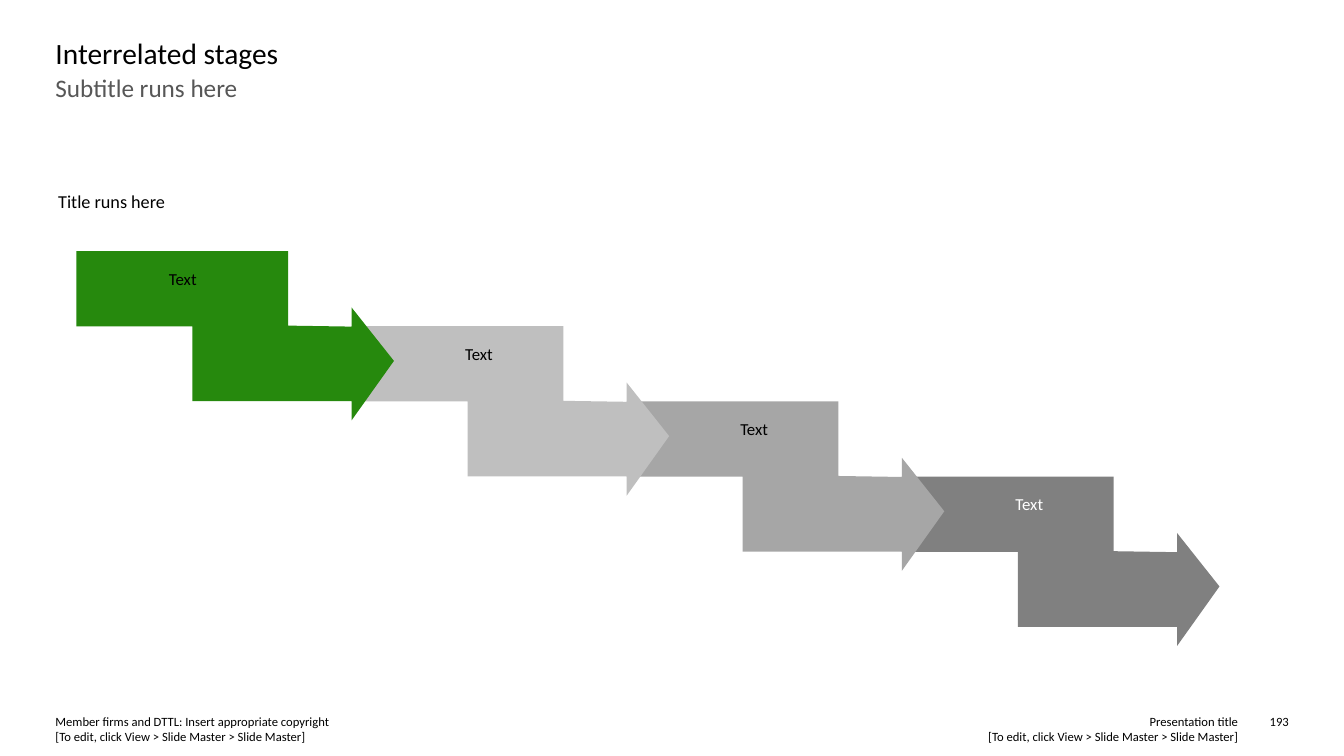
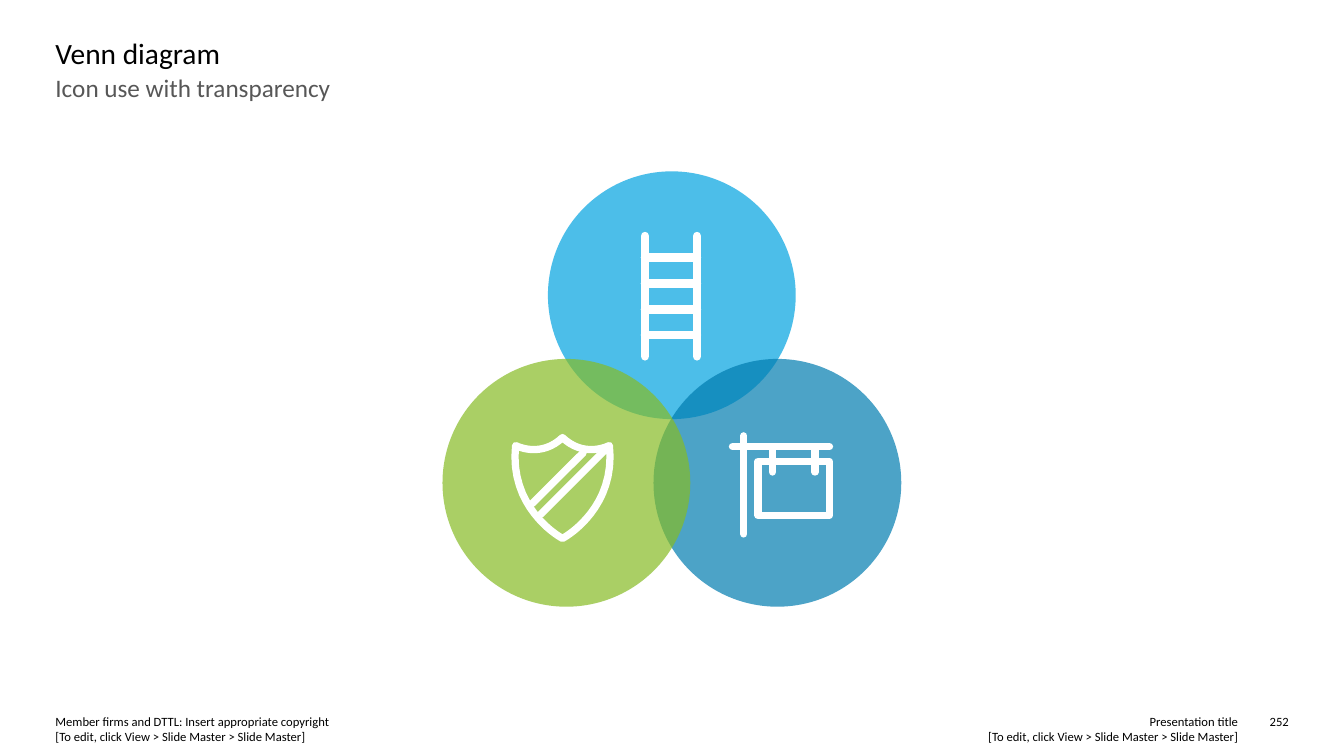
from lxml import etree
from pptx import Presentation
from pptx.dml.color import RGBColor
from pptx.enum.text import MSO_ANCHOR, MSO_AUTO_SIZE, PP_ALIGN
from pptx.enum.shapes import MSO_SHAPE
from pptx.oxml.ns import qn
from pptx.util import Pt

LEFT, CENTER, RIGHT = PP_ALIGN.LEFT, PP_ALIGN.CENTER, PP_ALIGN.RIGHT
TOP = MSO_ANCHOR.TOP
NO_AUTOSIZE = MSO_AUTO_SIZE.NONE
ELLIPSE = MSO_SHAPE.OVAL

FONT = "Calibri"
BLACK, WHITE, GRAY = "000000", "FFFFFF", "575757"
MARGIN, CONTENT_WIDTH = 39.6, 881.3
FOOTER_TOP = 509.8
EDIT_HINT = "[To edit, click View > Slide Master > Slide Master]"

STEP_PITCH = (196.55, 53.7)
STEP_OUTLINE = [
    (0, 0), (151.2, 0), (151.2, 53.3), (196.5, 54), (196.5, 40.3),
    (226.8, 78.5), (196.5, 121), (196.5, 107.3), (82.8, 107.3),
    (82.8, 53.75), (0, 53.75),
]
CIRCLE_SIZE = 177
SHIELD_CURVES = [
    [(0, 2.9), (14.4, 16.6), (30.2, 10.1), (33.5, 8.6)],
    [(33.5, 8.6), (38.2, 51.8), (4.3, 72.7), (0, 74.9)],
]


def color(value):
    """Turn a hex string into a colour."""
    return RGBColor.from_string(value)


def write(frame, lines, size, ink=BLACK, align=LEFT, spacing=None):
    """Fill a text frame with one paragraph of broken lines."""
    frame.margin_left = frame.margin_right = 0
    frame.margin_top = frame.margin_bottom = 0
    frame.word_wrap = True
    frame.auto_size = NO_AUTOSIZE
    frame.vertical_anchor = TOP
    para = frame.paragraphs[0]
    para.alignment = align
    para.space_before = Pt(0)
    if spacing:
        para.line_spacing = spacing
    for number, line in enumerate(lines):
        if number:
            para.add_line_break()
        span = para.add_run()
        span.text = line
        span.font.name = FONT
        span.font.size = Pt(size)
        span.font.color.rgb = color(ink)
    return para


def place(box, left, top, width, height):
    """Move a box to a position in points."""
    box.left, box.top = Pt(left), Pt(top)
    box.width, box.height = Pt(width), Pt(height)


def add_text(page, bounds, lines, size, **style):
    """Add a text box at bounds."""
    box = page.shapes.add_textbox(*map(Pt, bounds))
    write(box.text_frame, lines, size, **style)


def add_outline(page, left, top, contours, close=False):
    """Add one freeform whose contours are relative to a corner."""
    builder = None
    for contour in contours:
        start, *rest = [(Pt(left + x), Pt(top + y)) for x, y in contour]
        if builder is None:
            builder = page.shapes.build_freeform(*start)
        else:
            builder.move_to(*start)
        builder.add_line_segments(rest, close=close)
    shape = builder.convert_to_shape()
    shape.shadow.inherit = False
    return shape


def fill_shape(shape, value, opacity=100):
    """Give a shape a borderless fill of the given opacity."""
    shape.shadow.inherit = False
    shape.fill.solid()
    shape.fill.fore_color.rgb = color(value)
    shape.line.fill.background()
    if opacity < 100:
        tint = shape._element.spPr.find(qn("a:solidFill"))[0]
        etree.SubElement(tint, qn("a:alpha"), val=str(opacity * 1000))


def add_icon(page, left, top, weight, contours):
    """Draw a white line icon with round caps and joins."""
    icon = add_outline(page, left, top, contours)
    icon.fill.background()
    icon.line.color.rgb = color(WHITE)
    icon.line.width = Pt(weight)
    stroke = icon._element.spPr.find(qn("a:ln"))
    stroke.set("cap", "rnd")
    etree.SubElement(stroke, qn("a:round"))


def add_page(deck, title, subtitle, number):
    """Add a page with title, subtitle and footer."""
    page = deck.slides.add_slide(deck.slide_layouts[1])
    heading, body = page.shapes.title, page.placeholders[1]
    place(heading, MARGIN, 25.2, CONTENT_WIDTH, 26.6)
    write(heading.text_frame, [title], 21)
    place(body, MARGIN, 51.6, CONTENT_WIDTH, 59.8)
    para = write(body.text_frame, [subtitle], 18, ink=GRAY)
    props = para._p.get_or_add_pPr()
    props.set("marL", "0")
    props.set("indent", "0")
    etree.SubElement(props, qn("a:buNone"))
    add_text(page, (499, FOOTER_TOP, 385.2, 21.6),
             ["Presentation title", EDIT_HINT], 9, align=RIGHT)
    add_text(page, (MARGIN, FOOTER_TOP, 421.9, 21.6),
             ["Member firms and DTTL: Insert appropriate copyright", EDIT_HINT], 9)
    add_text(page, (896.2, FOOTER_TOP, 24.5, 10.8), [number], 9, align=RIGHT)
    return page


def add_stairs(page, left, top, steps):
    """Draw descending arrow steps, the first one in front."""
    for index, (fill, ink) in reversed(list(enumerate(steps))):
        x, y = left + index * STEP_PITCH[0], top + index * STEP_PITCH[1]
        step = add_outline(page, x, y, [STEP_OUTLINE], close=True)
        fill_shape(step, fill)
        inset, width = (31.5, 119) if index else (2, 148)
        add_text(page, (x + inset, y + 14.2, width, 16.6), ["Text"], 12,
                 ink=ink, align=CENTER, spacing=0.9)


def add_ladder(page, left, top):
    """Draw a ladder icon."""
    rails = [[(x, 3), (x, 89)] for x in (3, 40.2)]
    rungs = [[(3, 18.4 + 18.5 * i), (40.2, 18.4 + 18.5 * i)] for i in range(4)]
    add_icon(page, left, top, 6, rails + rungs)


def add_sign(page, left, top):
    """Draw a hanging sign icon."""
    near, far, upper, lower = 20.9, 71.9, 20.9, 59.4
    board = [(near, upper), (far, upper), (far, lower), (near, lower), (near, upper)]
    pole = [(10.8, 2.6), (10.8, 72.7)]
    arm = [(2.7, 10.4), (72, 10.4)]
    hangers = [[(x, 10.4), (x, 28.5)] for x in (31.3, 61.6)]
    add_icon(page, left, top, 5.2, [board, pole, arm] + hangers)


def curve_points(curve, count=16):
    """Sample a cubic curve, leaving out its end."""
    points = []
    for step in range(count):
        t = step / count
        weights = ((1 - t) ** 3, 3 * t * (1 - t) ** 2, 3 * t * t * (1 - t), t ** 3)
        points.append(tuple(
            sum(w * point[axis] for w, point in zip(weights, curve))
            for axis in (0, 1)))
    return points


def add_shield(page, left, top):
    """Draw a striped shield icon, mirrored about its middle."""
    half = [point for curve in SHIELD_CURVES for point in curve_points(curve)]
    half.append(SHIELD_CURVES[-1][-1])
    mirrored = [(-x, y) for x, y in reversed(half[:-1])]
    stripes = [[(-21.6, 50), (14.8, 13.7)], [(-15.5, 57.6), (33.1, 9)]]
    add_icon(page, left + 36.7, top, 5.2, [half + mirrored] + stripes)


def add_venn(page, left, top):
    """Draw three translucent circles with an icon in each."""
    circles = [
        (75.3, 0, "00A3E0", add_ladder, 66.3, 43.2),
        (150.7, 134, "007CB0", add_sign, 53.7, 52.3),
        (0, 134, "86BC25", add_shield, 49, 53.3),
    ]
    for x, y, fill, *_ in circles:
        circle = page.shapes.add_shape(
            ELLIPSE, Pt(left + x), Pt(top + y), Pt(CIRCLE_SIZE), Pt(CIRCLE_SIZE))
        fill_shape(circle, fill, opacity=70)
    for x, y, _, draw_icon, dx, dy in reversed(circles):
        draw_icon(page, left + x + dx, top + y + dy)


def main():
    """Build and save the deck."""
    deck = Presentation()
    deck.slide_width, deck.slide_height = Pt(960), Pt(540)

    stages = add_page(deck, "Interrelated stages", "Subtitle runs here", "193")
    add_stairs(stages, 54.6, 179.3, [
        ("26890D", BLACK), ("BFBFBF", BLACK), ("A6A6A6", BLACK), ("808080", WHITE)])
    add_text(stages, (41.6, 136.1, 657.4, 15.8), ["Title runs here"], 13)

    venn = add_page(deck, "Venn diagram", "Icon use with transparency", "252")
    add_venn(venn, 316.1, 122.4)

    deck.save("out.pptx")


if __name__ == "__main__":
    main()
